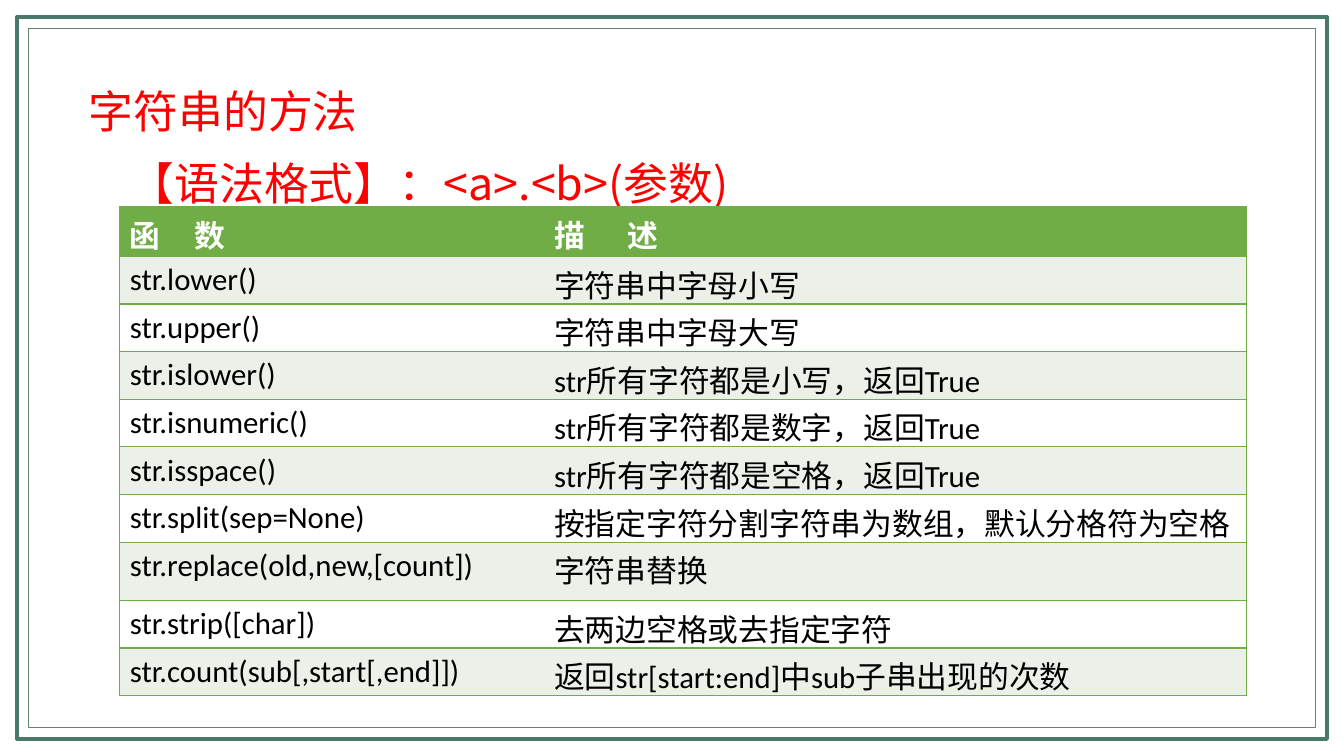
from lxml import etree
from pptx import Presentation
from pptx import util as u
from pptx.dml.color import RGBColor
from pptx.enum import shapes, text
from pptx.oxml import ns

COLORS = {"outer": "49786D", "inner": "64846E", "red": "FF0000", "green": "70AD47",
          "band": "EBF1E9", "white": "FFFFFF", "black": "000000"}
CJK = "Noto Sans CJK SC"


def color(name):
    return RGBColor.from_string(COLORS[name])


def style_run(run, values):
    for attribute, value in values.items():
        setattr(run.font, attribute, value)


deck = Presentation()
deck.slide_width, deck.slide_height = u.Cm(33.87), u.Cm(19.05)
slide = deck.slides.add_slide(deck.slide_layouts[6])

# Double frame
for margin, line_color, weight in [(0.43, "outer", 3), (0.71, "inner", 0.5)]:
    frame = slide.shapes.add_shape(
        shapes.MSO_SHAPE.RECTANGLE, u.Cm(margin), u.Cm(margin),
        deck.slide_width - u.Cm(2 * margin), deck.slide_height - u.Cm(2 * margin))
    frame.shadow.inherit = False
    frame.fill.background()
    frame.line.color.rgb = color(line_color)
    frame.line.width = u.Pt(weight)

# Title and syntax line
headings = [
    ("【语法格式】：<a>.<b>(参数)", (3.02, 3.12, 25.83, 2.06), True, text.PP_ALIGN.LEFT),
    ("字符串的方法", (1.96, 1.3, 7.34, 2.31), False, text.PP_ALIGN.CENTER),
]
for wording, place, wrap, alignment in headings:
    heading = slide.shapes.add_textbox(*map(u.Cm, place)).text_frame
    heading.word_wrap = wrap
    line = heading.paragraphs[0]
    line.alignment = alignment
    line.line_spacing = 1.5
    run = line.add_run()
    run.text = wording
    style_run(run, {"size": u.Pt(32), "name": CJK})
    run.font.color.rgb = color("red")
    etree.SubElement(run.font._element, ns.qn("a:ea"), typeface=CJK)

# Table of string methods
methods = [
    ("函\t数", "描\t述"),
    ("str.lower()", "字符串中字母小写"),
    ("str.upper()", "字符串中字母大写"),
    ("str.islower()", "str所有字符都是小写，返回True"),
    ("str.isnumeric()", "str所有字符都是数字，返回True"),
    ("str.isspace()", "str所有字符都是空格，返回True"),
    ("str.split(sep=None)", "按指定字符分割字符串为数组，默认分格符为空格"),
    ("str.replace(old,new,[count])", "字符串替换"),
    ("str.strip([char])", "去两边空格或去指定字符"),
    ("str.count(sub[,start[,end]])", "返回str[start:end]中sub子串出现的次数"),
]
heights = [1.25] + [1.2] * 6 + [1.47] + [1.2] * 2
widths = [10.69, 17.7]
header_tabs = [1.64, 1.85]
table = slide.shapes.add_table(len(methods), 2, u.Cm(3.02), u.Cm(5.21),
                               u.Cm(sum(widths)), u.Cm(sum(heights))).table
for column, width in zip(table.columns, widths):
    column.width = u.Cm(width)

for r, entries in enumerate(methods):
    table.rows[r].height = u.Cm(heights[r])
    header = r == 0
    fill = "green" if header else ("band" if r % 2 else "white")
    for c, wording in enumerate(entries):
        cell = table.cell(r, c)
        paragraph = cell.text_frame.paragraphs[0]
        run = paragraph.add_run()
        run.text = wording
        style_run(run, {"size": u.Pt(22), "name": "Calibri", "bold": header})
        run.font.color.rgb = color("white" if header else "black")
        if header:
            tabs = etree.SubElement(paragraph._p.get_or_add_pPr(), ns.qn("a:tabLst"))
            etree.SubElement(tabs, ns.qn("a:tab"), pos=str(u.Cm(header_tabs[c])), algn="l")

        # Green outline and row rules, no rule between the columns
        properties = cell._tc.get_or_add_tcPr()
        for side in ("lnL", "lnR", "lnT", "lnB"):
            border = etree.SubElement(properties, ns.qn("a:" + side), w=str(u.Pt(1)))
            if side == ("lnR", "lnL")[c]:
                etree.SubElement(border, ns.qn("a:noFill"))
            else:
                solid = etree.SubElement(border, ns.qn("a:solidFill"))
                etree.SubElement(solid, ns.qn("a:srgbClr"), val=COLORS["green"])
        cell.fill.solid()
        cell.fill.fore_color.rgb = color(fill)

deck.save("out.pptx")
